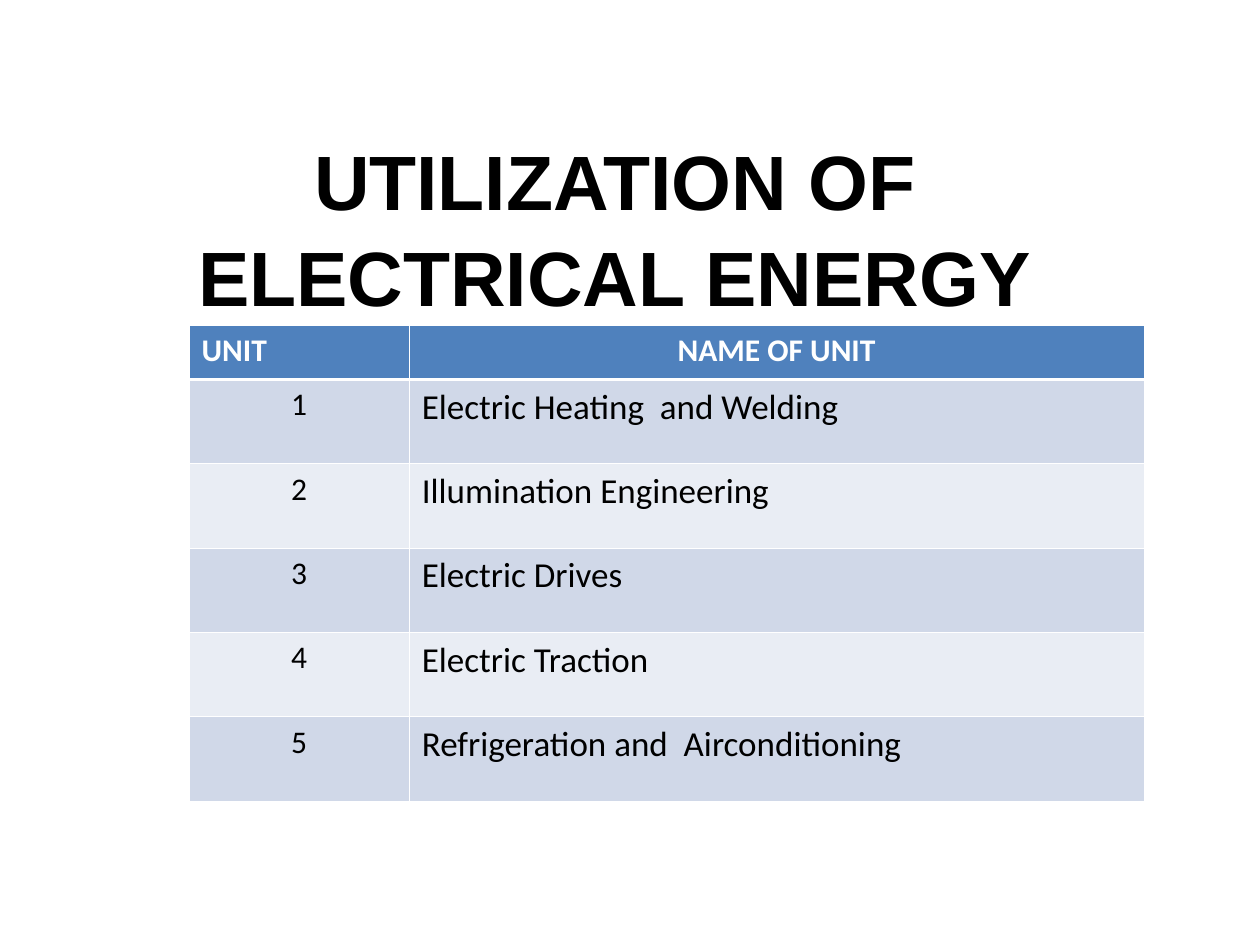
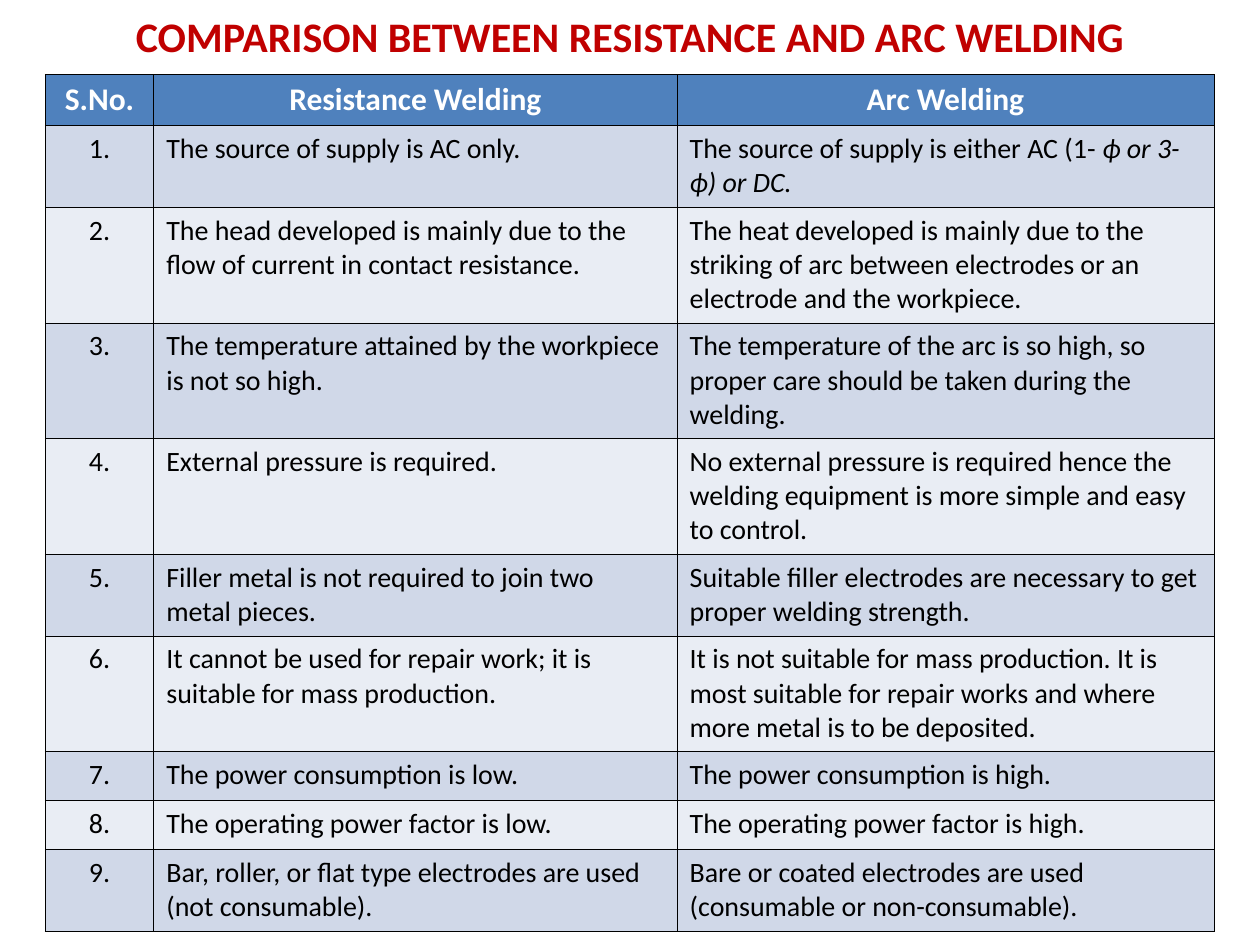
from lxml.etree import SubElement
from pptx import Presentation
from pptx.dml.color import RGBColor
from pptx.enum.text import MSO_ANCHOR, PP_ALIGN
from pptx.oxml.ns import qn
from pptx.util import Cm, Pt

WHITE, BLACK, RED = "FFFFFF", "000000", "C00000"
HEADER_FILL = "4F81BD"
BAND_FILLS = ("D0D8E8", "E9EDF4")
BODY_FONT = "Calibri"
THIN, THICK = 0.45, 1.47

UNITS = [
    ("UNIT", "NAME OF UNIT"),
    ("1", "Electric Heating  and Welding"),
    ("2", "Illumination Engineering"),
    ("3", "Electric Drives"),
    ("4", "Electric Traction"),
    ("5", "Refrigeration and  Airconditioning"),
]

# A cell given as a tuple holds an upright part and an italic part.
WELDING = [
    ("S.No.", "Resistance Welding", "Arc Welding"),
    ("1.", "The source of supply is AC only.",
     ("The source of supply is either AC (1-", " ϕ or 3-ϕ) or DC.")),
    ("2.", "The head developed is mainly due to the flow of current in contact resistance.",
     "The heat developed is mainly due to the striking of arc between electrodes or an "
     "electrode and the workpiece."),
    ("3.", "The temperature attained by the workpiece is not so high.",
     "The temperature of the arc is so high, so proper care should be taken during the welding."),
    ("4.", "External pressure is required.",
     "No external pressure is required hence the welding equipment is more simple and easy "
     "to control."),
    ("5.", "Filler metal is not required to join two metal pieces.",
     "Suitable filler electrodes are necessary to get proper welding strength."),
    ("6.", "It cannot be used for repair work; it is suitable for mass production.",
     "It is not suitable for mass production. It is most suitable for repair works and where "
     "more metal is to be deposited."),
    ("7.", "The power consumption is low.", "The power consumption is high."),
    ("8.", "The operating power factor is low.", "The operating power factor is high."),
    ("9.", "Bar, roller, or flat type electrodes are used (not consumable).",
     "Bare or coated electrodes are used (consumable or non-consumable)."),
]
ONE_LINE, TWO_LINES, THREE_LINES = 0.99, 1.65, 2.33
WELDING_HEIGHTS = [1.03, TWO_LINES, THREE_LINES, THREE_LINES, THREE_LINES, TWO_LINES,
                   THREE_LINES, ONE_LINE, ONE_LINE, TWO_LINES]


def rgb(value):
    return RGBColor.from_string(value)


def style_paragraph(paragraph, size, color, bold=False, font_name=BODY_FONT,
                    alignment=PP_ALIGN.CENTER):
    paragraph.alignment = alignment
    font = paragraph.font
    font.name, font.size, font.bold = font_name, Pt(size), bold
    font.color.rgb = rgb(color)


def add_title(slide, box, text, size, color, anchor=MSO_ANCHOR.TOP, font_name=BODY_FONT):
    frame = slide.shapes.add_textbox(*map(Cm, box)).text_frame
    frame.word_wrap = True
    frame.vertical_anchor = anchor
    paragraph = frame.paragraphs[0]
    paragraph.text = text
    style_paragraph(paragraph, size, color, bold=True, font_name=font_name)
    return paragraph


def set_borders(cell, color, top=THIN, bottom=THIN):
    properties = cell._tc.get_or_add_tcPr()
    for side, width in (("L", THIN), ("R", THIN), ("T", top), ("B", bottom)):
        line = SubElement(properties, qn(f"a:ln{side}"), w=str(Pt(width)))
        fill = SubElement(line, qn("a:solidFill"))
        SubElement(fill, qn("a:srgbClr"), val=color)


def fill_cell(cell, content, fill, **style):
    cell.fill.solid()
    cell.fill.fore_color.rgb = rgb(fill)
    paragraph = cell.text_frame.paragraphs[0]
    style_paragraph(paragraph, **style)
    parts = content if isinstance(content, tuple) else (content,)
    for index, text in enumerate(parts):
        run = paragraph.add_run()
        run.text = text
        if index:
            run.font.italic = True


def add_banded_table(slide, left, top, widths, heights, rows, number_size, text_size,
                     border, header_rule=THIN, first_header=PP_ALIGN.CENTER):
    """Header row above banded rows, with a centred number in the first column."""
    table = slide.shapes.add_table(len(rows), len(widths), Cm(left), Cm(top),
                                   Cm(sum(widths)), Cm(sum(heights))).table
    for column, width in zip(table.columns, widths):
        column.width = Cm(width)
    for row_index, (row, height) in enumerate(zip(rows, heights)):
        table.rows[row_index].height = Cm(height)
        for column_index, content in enumerate(row):
            cell = table.cell(row_index, column_index)
            set_borders(cell, border,
                        top=header_rule if row_index == 1 else THIN,
                        bottom=header_rule if row_index == 0 else THIN)
            is_number = column_index == 0
            if row_index == 0:
                fill_cell(cell, content, HEADER_FILL, size=18, color=WHITE, bold=True,
                          alignment=first_header if is_number else PP_ALIGN.CENTER)
            else:
                fill_cell(cell, content, BAND_FILLS[(row_index - 1) % 2],
                          size=number_size if is_number else text_size, color=BLACK,
                          alignment=PP_ALIGN.CENTER if is_number else PP_ALIGN.LEFT)


def build_units_slide(slide):
    title = add_title(slide, (2.34, 2.74, 20.12, 3.61), "UTILIZATION OF ELECTRICAL ENERGY",
                      44, BLACK, MSO_ANCHOR.MIDDLE, "Arial")
    title.line_spacing = 1.04
    add_banded_table(slide, 3.81, 6.56, [4.44, 14.81], [1.09] + [1.7] * 5, UNITS,
                     number_size=18, text_size=20, border=WHITE, header_rule=THICK,
                     first_header=PP_ALIGN.LEFT)


def build_welding_slide(slide):
    add_title(slide, (1.27, 0.08, 22.86, 1.55),
              "COMPARISON BETWEEN RESISTANCE AND ARC WELDING", 24, RED)
    add_banded_table(slide, 0.91, 1.5, [2.19, 10.55, 10.82], WELDING_HEIGHTS, WELDING,
                     number_size=16, text_size=16, border=BLACK)


def main():
    presentation = Presentation()
    presentation.slide_width, presentation.slide_height = Cm(25.4), Cm(19.05)
    blank = presentation.slide_layouts[6]
    for build in (build_units_slide, build_welding_slide):
        build(presentation.slides.add_slide(blank))
    presentation.save("out.pptx")


if __name__ == "__main__":
    main()
